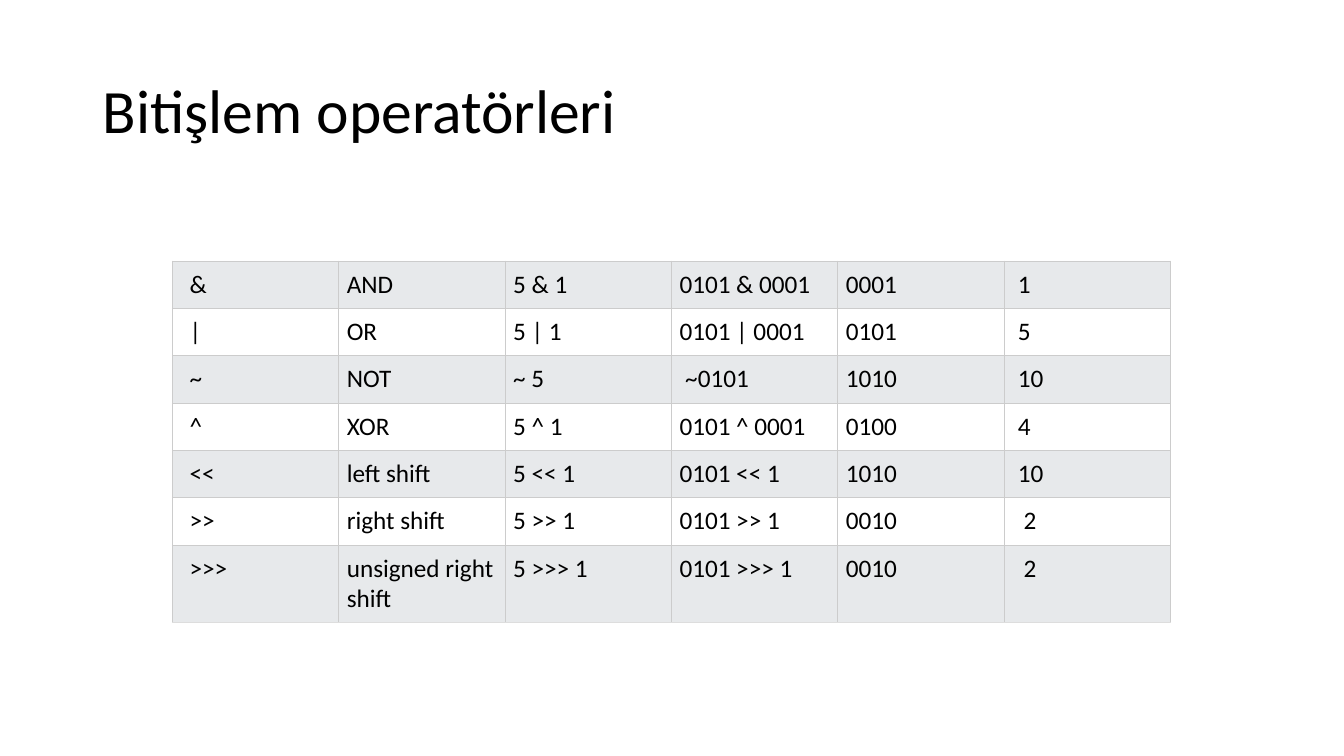
from dataclasses import astuple, dataclass

from lxml.etree import SubElement
from pptx import Presentation
from pptx.dml.color import RGBColor
from pptx.enum.text import MSO_ANCHOR, PP_ALIGN
from pptx.oxml.ns import qn
from pptx.table import _Cell
from pptx.text.text import _Paragraph
from pptx.util import Inches, Pt

BLACK = RGBColor(0x00, 0x00, 0x00)
WHITE = RGBColor(0xFF, 0xFF, 0xFF)
BAND = RGBColor(0xE7, 0xE9, 0xEB)
GRID = RGBColor(0xCC, 0xCC, 0xCC)
BOTTOM_EDGE = RGBColor(0xDD, 0xDD, 0xDD)
FONT = "Calibri"
COLUMN_WIDTH = Inches(1.65)
ROW_HEIGHT = Inches(0.47)
LAST_ROW_HEIGHT = Inches(0.77)
PADDING = Inches(0.08)
SYMBOL_INDENT = Inches(0.17)


@dataclass(frozen=True)
class Operator:
    symbol: str
    name: str
    example: str
    binary: str
    result: str
    decimal: str


OPERATORS = [
    Operator("&", "AND", "5 & 1", "0101 & 0001", "0001", "\u00a01"),
    Operator("|", "OR", "5 | 1", "0101 | 0001", "0101", "\u00a05"),
    Operator("~", "NOT", "~ 5", "\u00a0~0101", "1010", "\u00a010"),
    Operator("^", "XOR", "5 ^ 1", "0101 ^ 0001", "0100", "\u00a04"),
    Operator("<<", "left shift", "5 << 1", "0101 << 1", "1010", "\u00a010"),
    Operator(">>", "right shift", "5 >> 1", "0101 >> 1", "0010", "\u00a0 2"),
    Operator(">>>", "unsigned right shift", "5 >>> 1", "0101 >>> 1", "0010", "\u00a0 2"),
]


def write(paragraph: _Paragraph, wording: str, size: int) -> None:
    paragraph.alignment = PP_ALIGN.LEFT
    run = paragraph.add_run()
    run.text = wording
    run.font.name = FONT
    run.font.size = Pt(size)
    run.font.color.rgb = BLACK


def add_borders(cell: _Cell, bottom: RGBColor) -> None:
    properties = cell._tc.get_or_add_tcPr()
    for side, color in (("L", GRID), ("R", GRID), ("T", GRID), ("B", bottom)):
        edge = SubElement(properties, qn(f"a:ln{side}"), w=str(Pt(0.75)))
        SubElement(SubElement(edge, qn("a:solidFill")), qn("a:srgbClr"), val=str(color))


def fill_cell(cell: _Cell, wording: str, left: int, fill: RGBColor, bottom: RGBColor) -> None:
    add_borders(cell, bottom)
    cell.fill.solid()
    cell.fill.fore_color.rgb = fill
    cell.margin_left = left
    cell.margin_right = cell.margin_top = cell.margin_bottom = PADDING
    cell.vertical_anchor = MSO_ANCHOR.TOP
    write(cell.text_frame.paragraphs[0], wording, 18)


presentation = Presentation()
presentation.slide_width = Inches(13.33)
presentation.slide_height = Inches(7.5)
slide = presentation.slides.add_slide(presentation.slide_layouts[5])

heading = slide.shapes.title
heading.left, heading.top = Inches(0.92), Inches(0.4)
heading.width, heading.height = Inches(11.5), Inches(1.45)
heading.text_frame.vertical_anchor = MSO_ANCHOR.MIDDLE
heading.text_frame.paragraphs[0].line_spacing = 0.9
write(heading.text_frame.paragraphs[0], "Bitişlem operatörleri", 44)

column_count = len(astuple(OPERATORS[0]))
last = len(OPERATORS) - 1
operator_table = slide.shapes.add_table(
    len(OPERATORS), column_count, Inches(1.71), Inches(2.59),
    COLUMN_WIDTH * column_count, ROW_HEIGHT * last + LAST_ROW_HEIGHT,
).table
operator_table.first_row = False
operator_table.horz_banding = False
for column in operator_table.columns:
    column.width = COLUMN_WIDTH

for row, operator in enumerate(OPERATORS):
    operator_table.rows[row].height = LAST_ROW_HEIGHT if row == last else ROW_HEIGHT
    fill = WHITE if row % 2 else BAND
    bottom = BOTTOM_EDGE if row == last else GRID
    for column, wording in enumerate(astuple(operator)):
        left = PADDING if column else SYMBOL_INDENT
        fill_cell(operator_table.cell(row, column), wording, left, fill, bottom)

presentation.save("out.pptx")
